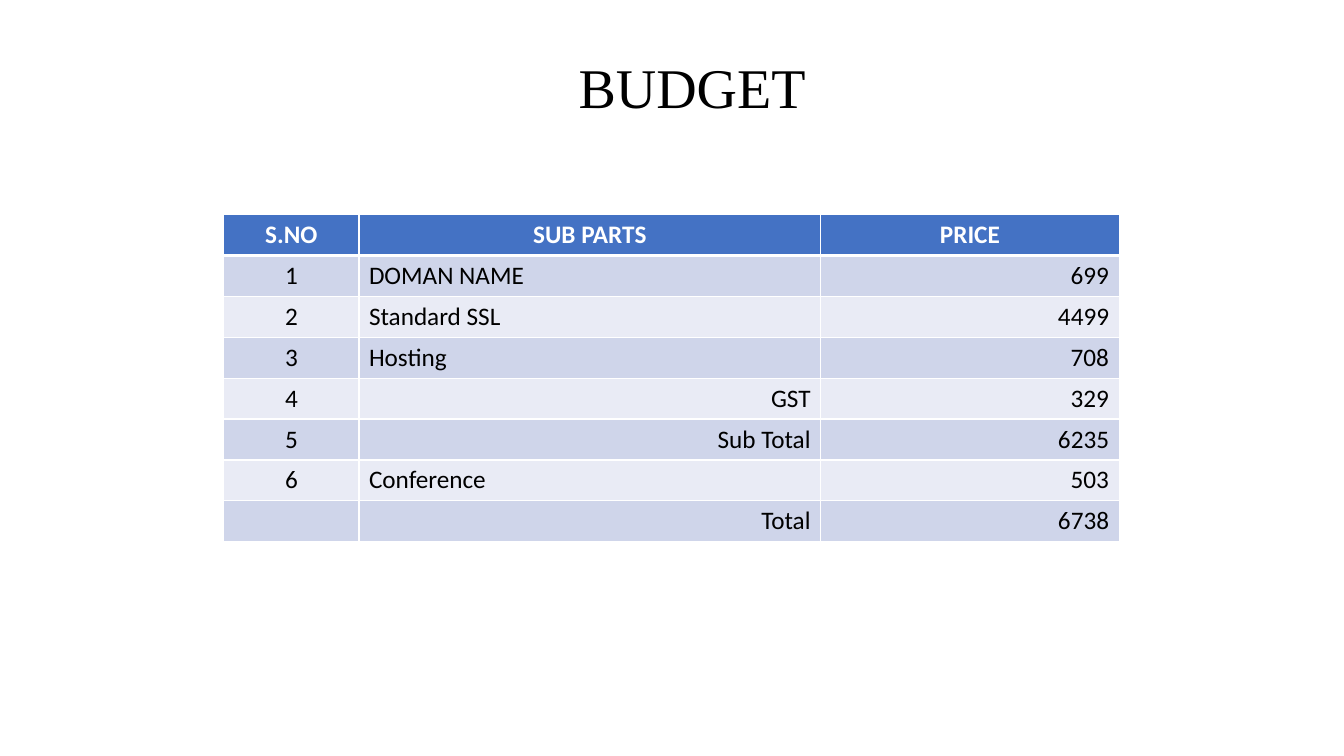
from dataclasses import dataclass

from lxml import etree
from pptx import Presentation
from pptx.dml.color import RGBColor
from pptx.enum import text
from pptx.oxml.ns import qn
from pptx.util import Inches, Pt


@dataclass(frozen=True)
class Theme:
    title_font: str = "Times New Roman"
    body_font: str = "Calibri"
    title_size: int = 40
    body_size: int = 18
    header: str = "4472C4"
    bands: tuple = ("CFD5EA", "E9EBF5")
    dark: str = "000000"
    light: str = "FFFFFF"


theme = Theme()
LEFT, CENTER, RIGHT = text.PP_ALIGN.LEFT, text.PP_ALIGN.CENTER, text.PP_ALIGN.RIGHT


def style_paragraph(p, align, font, size, color, bold=False):
    p.alignment = align
    for r in p.runs:
        r.font.name, r.font.size, r.font.bold = font, Pt(size), bold
        r.font.color.rgb = RGBColor.from_string(color)


def set_borders(cell, widths):
    """Draw light cell borders; widths maps a side (L, R, T, B) to points."""
    props = cell._tc.get_or_add_tcPr()
    for i, (side, width) in enumerate(widths.items()):
        ln = etree.Element(qn(f"a:ln{side}"), w=str(Pt(width)))
        fill = etree.SubElement(ln, qn("a:solidFill"))
        etree.SubElement(fill, qn("a:srgbClr"), val=theme.light)
        props.insert(i, ln)


prs = Presentation()
prs.slide_width, prs.slide_height = Inches(13.33), Inches(7.5)
s = prs.slides.add_slide(prs.slide_layouts[5])

# Title
title = s.shapes.title
title.left, title.top = Inches(1.06), Inches(0.47)
title.width, title.height = Inches(11.61), Inches(0.77)
tf = title.text_frame
tf.text = "BUDGET"
tf.vertical_anchor = text.MSO_ANCHOR.MIDDLE
style_paragraph(tf.paragraphs[0], CENTER, theme.title_font, theme.title_size, theme.dark)

# Budget table
rows = [
    ("S.NO", "SUB PARTS", "PRICE"),
    ("1", "DOMAN NAME", "699"),
    ("2", "Standard SSL", "4499"),
    ("3", "Hosting", "708"),
    ("4", "GST", "329"),
    ("5", "Sub Total", "6235"),
    ("6", "Conference", "503"),
    ("", "Total", "6738"),
]
right_labels = {"GST", "Sub Total", "Total"}
col_widths = (1.34, 4.58, 2.96)

table = s.shapes.add_table(len(rows), len(col_widths), Inches(2.22), Inches(2.13),
                           Inches(sum(col_widths)), Inches(3.24)).table
for col, width in zip(table.columns, col_widths):
    col.width = Inches(width)

for i, row in enumerate(rows):
    is_header = i == 0
    fill = theme.header if is_header else theme.bands[(i - 1) % 2]
    color = theme.light if is_header else theme.dark
    label_align = RIGHT if row[1] in right_labels else LEFT
    aligns = (CENTER,) * 3 if is_header else (CENTER, label_align, RIGHT)
    borders = {"L": 1, "R": 1, "T": 3 if i == 1 else 1, "B": 3 if is_header else 1}
    for j, (value, align) in enumerate(zip(row, aligns)):
        cell = table.cell(i, j)
        cell.text = value
        cell.fill.solid()
        cell.fill.fore_color.rgb = RGBColor.from_string(fill)
        set_borders(cell, borders)
        style_paragraph(cell.text_frame.paragraphs[0], align, theme.body_font,
                        theme.body_size, color, bold=is_header)

prs.save("out.pptx")
